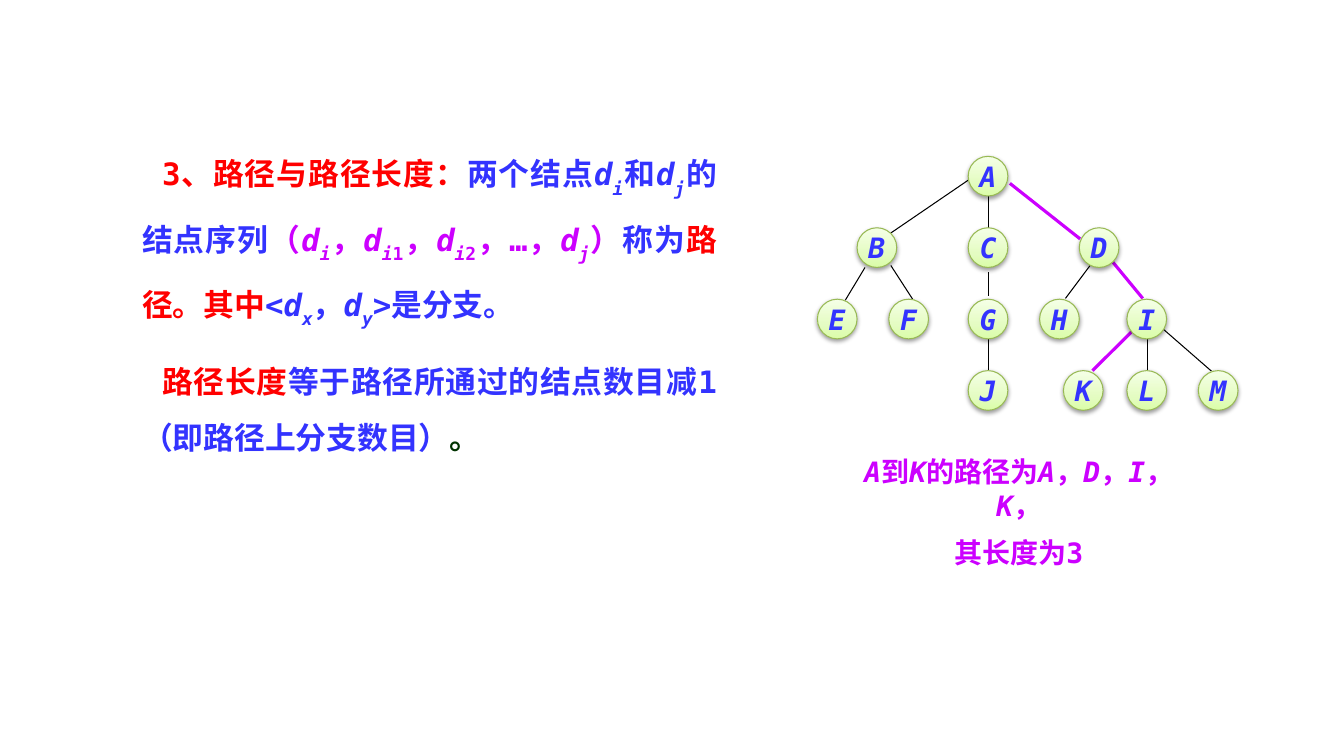
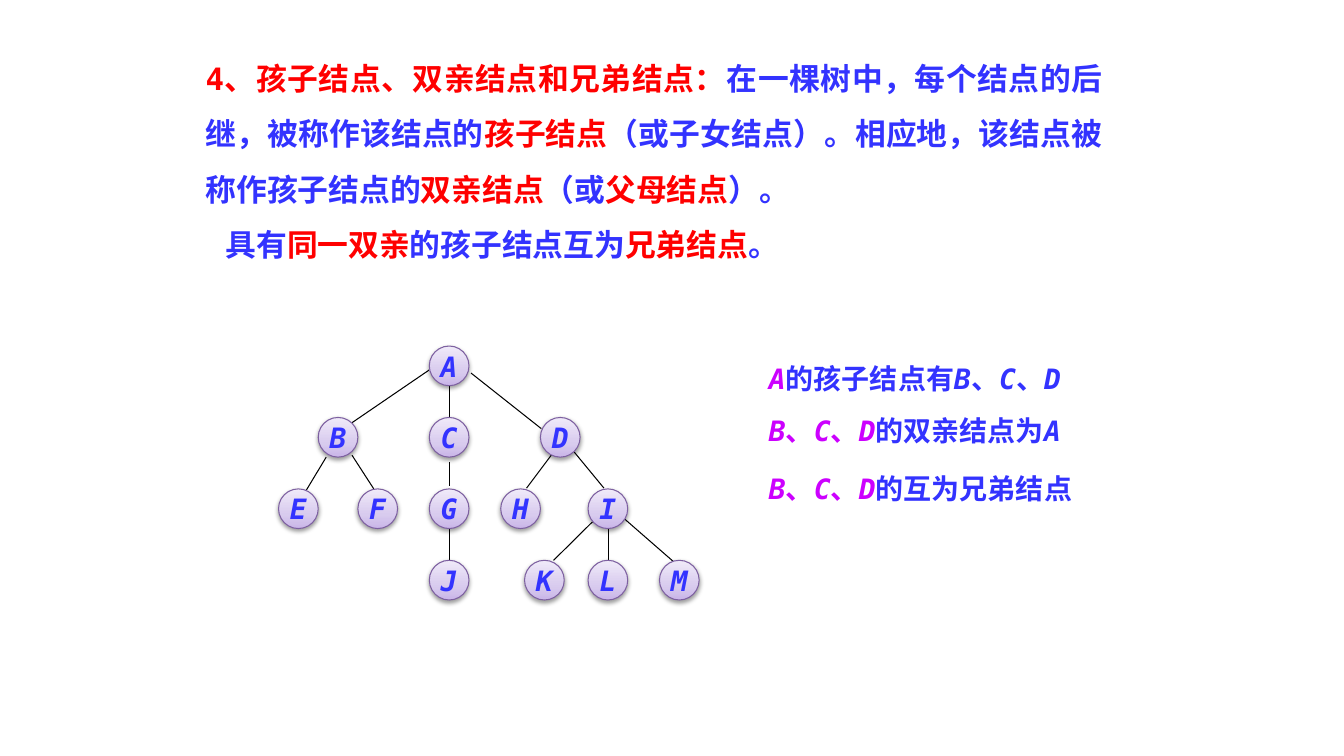
from copy import deepcopy

from lxml import etree
from pptx import Presentation
from pptx.dml.color import RGBColor
from pptx.enum.lang import MSO_LANGUAGE_ID
from pptx.enum.shapes import MSO_CONNECTOR, MSO_SHAPE
from pptx.enum.text import MSO_ANCHOR, MSO_AUTO_SIZE, PP_ALIGN
from pptx.oxml.ns import qn
from pptx.util import Cm, Pt

OVAL = MSO_SHAPE.OVAL
STRAIGHT = MSO_CONNECTOR.STRAIGHT
MIDDLE = MSO_ANCHOR.MIDDLE
LEFT, CENTER, JUSTIFY = PP_ALIGN.LEFT, PP_ALIGN.CENTER, PP_ALIGN.JUSTIFY
NO_AUTO_SIZE = MSO_AUTO_SIZE.NONE
CHINESE = MSO_LANGUAGE_ID.SIMPLIFIED_CHINESE

FONT = "DejaVu Sans Mono"
BODY_SIZE, NOTE_SIZE = 22, 20
COLORS = {
    "red": "FF0000", "blue": "3333FF", "violet": "CC00FF",
    "dark green": "003300", "black": "000000",
    "green line": "98B955", "purple line": "7D60A0",
}
NODE_FILLS = {
    "green": ["DAFDA7", "E4FCC2", "F5FFE7"],
    "purple": ["C9B5E8", "D8CBEE", "F0EAF9"],
}
STOP_POSITIONS = [0, 0.35, 1]

# Tree geometry in cm, measured from the top left of the root node
NODE_SIZE = 1.0
LEVEL_STEP = 1.8
LEVELS = [
    {"A": 0},
    {"B": -2.8, "C": 0, "D": 2.8},
    {"E": -3.8, "F": -2, "G": 0, "H": 1.8, "I": 4},
    {"J": 0, "K": 2.4, "L": 4, "M": 5.8},
]
EDGES = {
    "AB": (0, 0.6, -2.05, 2), "AC": (0.5, 1, 0.5, 1.8), "AD": (1.05, 0.68, 2.82, 2.08),
    "BE": (-2.6, 2.8, -3.1, 3.63), "BF": (-1.95, 2.75, -1.4, 3.6),
    "CG": (0.5, 2.92, 0.5, 3.53), "DH": (3.08, 2.74, 2.45, 3.58),
    "DI": (3.65, 2.67, 4.4, 3.58), "GJ": (0.5, 4.6, 0.5, 5.4),
    "IK": (4.14, 4.4, 3.13, 5.4), "IL": (4.52, 4.6, 4.52, 5.4),
    "IM": (4.9, 4.34, 6.15, 5.43),
}

SLIDES = [
    {
        "body box": (3.33, 3.23, 14.99, 7.62),
        "body indents": [0.5, 0.5],
        "body space": 11,
        "body": [
            [("red", "3、路径与路径长度："), ("blue", "两个结点*d_i_*和*d_j_*的结点序列"),
             ("violet", "（*d_i_*，*d_i_*_1_，*d_i_*_2_，…，*d_j_*）"),
             ("blue", "称为"), ("red", "路径。其中"),
             ("blue", "<*d_x_*，*d_y_*>是分支。")],
            [("red", "路径长度"),
             ("blue", "等于路径所通过的结点数目减1（即路径上分支数目）"),
             ("dark green", "。")],
        ],
        "root": (24.4, 3.94), "theme": "green", "shifts": {},
        "path": ["AD", "DI", "IK"],
        "note alignment": CENTER,
        "notes": [
            ((21.18, 11.33, 8.99, 2.36),
             [[("violet", "*A*到*K*的路径为*A*，*D*，*I*，*K*，")],
              [("violet", "其长度为3")]]),
        ],
    },
    {
        "body box": (4.93, 0.91, 23.11, 5.74),
        "body indents": [0, 0.5],
        "body space": 0,
        "body": [
            [("red", "4、孩子结点、双亲结点和兄弟结点："),
             ("blue", "在一棵树中，每个结点的后继，被称作该结点的"), ("red", "孩子结点"),
             ("blue", "（或子女结点）。相应地，该结点被称作孩子结点的"),
             ("red", "双亲结点"), ("blue", "（或"), ("red", "父母结点"), ("blue", "）。")],
            [("blue", "具有"), ("red", "同一双亲"), ("blue", "的孩子结点互为"),
             ("red", "兄弟结点"), ("blue", "。")],
        ],
        "root": (10.82, 8.72), "theme": "purple", "shifts": {"F": 0.2},
        "path": [],
        "note alignment": LEFT,
        "notes": [
            ((19.13, 8.99, 9.93, 1.12),
             [[("violet", "*A*"), ("blue", "的孩子结点有*B*、*C*、*D*")]]),
            ((19.13, 10.29, 9.93, 1.12),
             [[("violet", "*B*、*C*、*D*"), ("blue", "的双亲结点为*A*")]]),
            ((19.13, 11.76, 9.93, 1.12),
             [[("violet", "*B*、*C*、*D*"), ("blue", "的互为兄弟结点")]]),
        ],
    },
]


def write_runs(paragraph, parts, size):
    """Write (colour, text) parts; *...* is italic and _..._ is subscript."""
    for color, text in parts:
        for italic_index, section in enumerate(text.split("*")):
            for subscript_index, piece in enumerate(section.split("_")):
                if not piece:
                    continue
                run = paragraph.add_run()
                run.text = piece
                font = run.font
                font.name, font.size, font.bold = FONT, Pt(size), True
                font.italic = italic_index % 2 == 1
                font.color.rgb = RGBColor.from_string(COLORS[color])
                font.language_id = CHINESE
                properties = run._r.get_or_add_rPr()
                etree.SubElement(properties, qn("a:ea"), typeface=FONT)
                if subscript_index % 2:
                    properties.set("baseline", "-30000")


def write_paragraphs(text_frame, paragraphs, size, alignment, space_before):
    text_frame.word_wrap = True
    text_frame.auto_size = NO_AUTO_SIZE
    for index, parts in enumerate(paragraphs):
        paragraph = text_frame.add_paragraph() if index else text_frame.paragraphs[0]
        paragraph.alignment = alignment
        paragraph.space_before = Pt(space_before)
        write_runs(paragraph, parts, size)


presentation = Presentation()
presentation.slide_width, presentation.slide_height = Cm(33.87), Cm(19.05)

for content in SLIDES:
    slide = presentation.slides.add_slide(presentation.slide_layouts[1])
    title, body = slide.placeholders
    title.element.getparent().remove(title.element)

    # Definition
    body.left, body.top, body.width, body.height = map(Cm, content["body box"])
    write_paragraphs(body.text_frame, content["body"], BODY_SIZE, JUSTIFY,
                     content["body space"])
    for paragraph, indent in zip(body.text_frame.paragraphs, content["body indents"]):
        paragraph.line_spacing = 1.5
        properties = paragraph._p.get_or_add_pPr()
        properties.set("marL", "0")
        properties.set("indent", str(Cm(indent)))
        etree.SubElement(properties, qn("a:buNone"))

    # Tree edges
    root_x, root_y = content["root"]
    for edge, (start_x, start_y, end_x, end_y) in EDGES.items():
        on_path = edge in content["path"]
        connector = slide.shapes.add_connector(
            STRAIGHT, Cm(root_x + start_x), Cm(root_y + start_y),
            Cm(root_x + end_x), Cm(root_y + end_y))
        connector.line.color.rgb = RGBColor.from_string(
            COLORS["violet" if on_path else "black"])
        connector.line.width = Pt(2.25 if on_path else 0.75)
        etree.SubElement(connector.element.spPr, qn("a:effectLst"))

    # Tree nodes
    theme = content["theme"]
    for level, nodes in enumerate(LEVELS):
        for name, offset in nodes.items():
            node_x = root_x + offset + content["shifts"].get(name, 0)
            node = slide.shapes.add_shape(
                OVAL, Cm(node_x), Cm(root_y + level * LEVEL_STEP),
                Cm(NODE_SIZE), Cm(NODE_SIZE))
            node.fill.gradient()
            node.fill.gradient_angle = 90
            stop_list = node.element.spPr.find(".//" + qn("a:gsLst"))
            stop_list.append(deepcopy(stop_list[-1]))
            for stop, position, color in zip(
                    node.fill.gradient_stops, STOP_POSITIONS, NODE_FILLS[theme]):
                stop.position = position
                stop.color.rgb = RGBColor.from_string(color)
            node.line.color.rgb = RGBColor.from_string(COLORS[theme + " line"])
            node.line.width = Pt(0.75)

            node.shadow.inherit = False
            effects = node.element.spPr.find(qn("a:effectLst"))
            shadow = etree.SubElement(effects, qn("a:outerShdw"), blurRad="40000",
                                      dist="20000", dir="5400000", rotWithShape="0")
            shadow_color = etree.SubElement(shadow, qn("a:srgbClr"), val=COLORS["black"])
            etree.SubElement(shadow_color, qn("a:alpha"), val="38000")

            node.text_frame.word_wrap = False
            node.text_frame.vertical_anchor = MIDDLE
            label = node.text_frame.paragraphs[0]
            label.alignment = CENTER
            write_runs(label, [("blue", f"*{name}*")], NOTE_SIZE)

    # Remarks on the tree
    for box, paragraphs in content["notes"]:
        note = slide.shapes.add_textbox(*map(Cm, box))
        write_paragraphs(note.text_frame, paragraphs, NOTE_SIZE,
                         content["note alignment"], 10 if len(paragraphs) > 1 else 0)

presentation.save("out.pptx")
